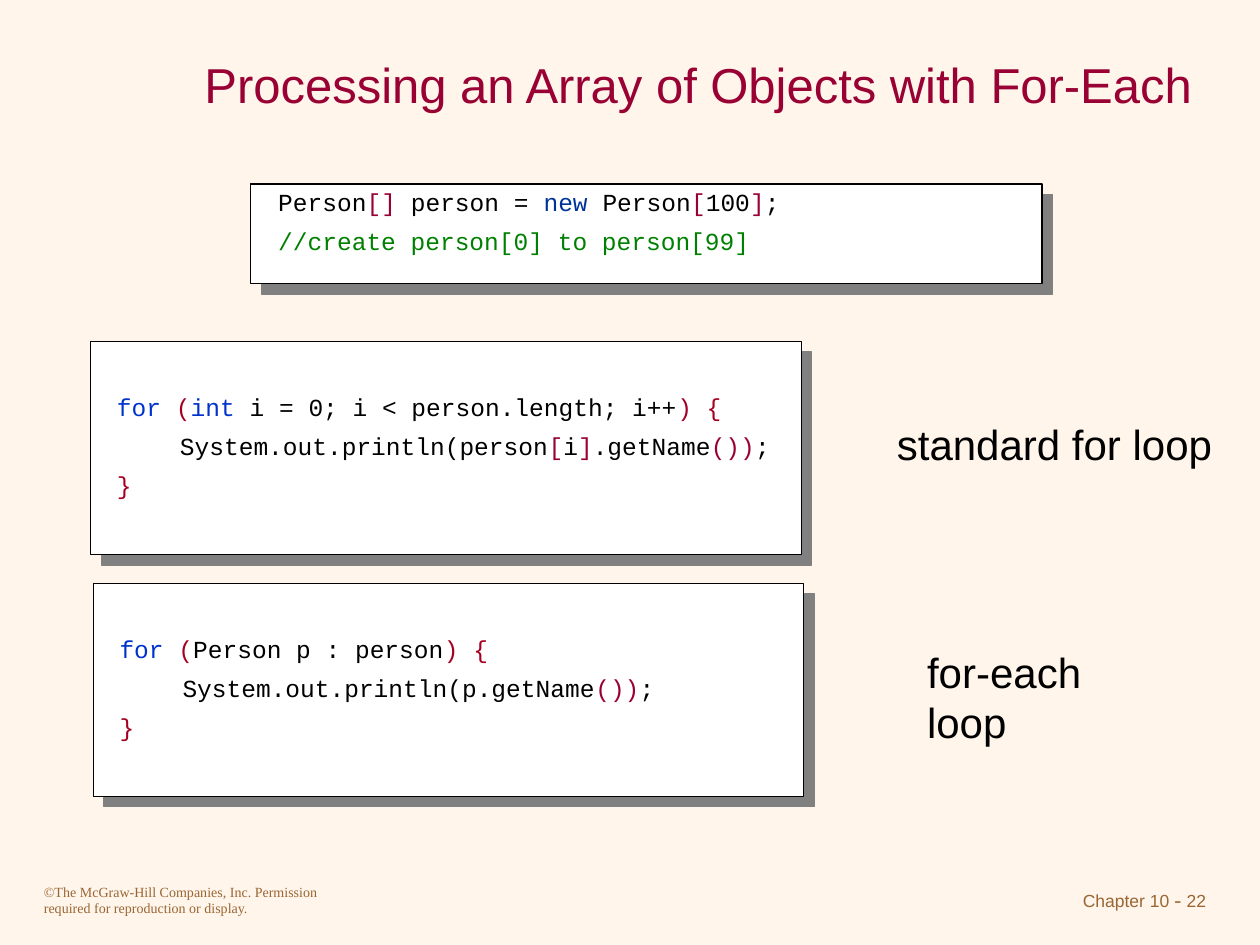
from lxml import etree
from pptx import Presentation
from pptx.dml.color import RGBColor
from pptx.enum.shapes import MSO_SHAPE
from pptx.enum.text import MSO_ANCHOR, PP_ALIGN
from pptx.oxml.ns import qn
from pptx.util import Inches, Pt

RECTANGLE = MSO_SHAPE.RECTANGLE
MIDDLE = MSO_ANCHOR.MIDDLE
LEFT, CENTER, RIGHT = PP_ALIGN.LEFT, PP_ALIGN.CENTER, PP_ALIGN.RIGHT

COLORS = {
    "background": "FFF5EB",
    "panel": "FFFFFF",
    "shadow": "808080",
    "title": "990033",
    "footer": "996633",
    "plain": "000000",
    "keyword": "0033CC",
    "new": "003399",
    "brace": "A50021",
    "bracket": "990033",
    "comment": "008000",
}

DECLARATION = [
    [("Person", "plain"), ("[]", "bracket"), (" person = ", "plain"),
     ("new", "new"), (" Person", "plain"), ("[", "bracket"),
     ("100", "plain"), ("]", "bracket"), (";", "plain")],
    [("//create person[0] to person[99]", "comment")],
]
STANDARD_LOOP = [
    [("for ", "keyword"), ("(", "brace"), ("int", "keyword"),
     (" i = 0; i < person.length; i++", "plain"), (") {", "brace")],
    [("\tSystem.out.println(person", "plain"), ("[", "bracket"),
     ("i", "plain"), ("]", "bracket"), (".getName", "plain"),
     ("())", "bracket"), (";", "plain")],
    [("}", "brace")],
]
FOR_EACH_LOOP = [
    [("for ", "keyword"), ("(", "brace"), ("Person p : person", "plain"),
     (") {", "brace")],
    [("\tSystem.out.println(p.getName", "plain"), ("())", "bracket"),
     (";", "plain")],
    [("}", "brace")],
]


def color(name):
    return RGBColor.from_string(COLORS[name])


def add_box(shapes, left, top, width, height, wrap=True):
    box = shapes.add_textbox(
        Inches(left), Inches(top), Inches(width), Inches(height))
    box.text_frame.word_wrap = wrap
    return box.text_frame


def set_font(font, name, size, color_name):
    font.name = name
    font.size = Pt(size)
    font.color.rgb = color(color_name)


def add_text(shapes, text, place, font_name, size, color_name,
             align=LEFT, wrap=True):
    frame = add_box(shapes, *place, wrap=wrap)
    paragraph = frame.paragraphs[0]
    paragraph.text = text
    paragraph.alignment = align
    set_font(paragraph.font, font_name, size, color_name)
    return frame


def add_panel(shapes, left, top, width, height):
    panel = shapes.add_shape(
        RECTANGLE, Inches(left), Inches(top), Inches(width), Inches(height))
    panel.fill.solid()
    panel.fill.fore_color.rgb = color("panel")
    panel.line.color.rgb = color("plain")
    panel.line.width = Pt(0.75)
    panel.shadow.inherit = False
    effects = panel.element.spPr.find(qn("a:effectLst"))
    shadow = etree.SubElement(
        effects, qn("a:outerShdw"), dist=str(Pt(8.5)), dir="2700000",
        algn="ctr", rotWithShape="0")
    etree.SubElement(shadow, qn("a:srgbClr"), val=COLORS["shadow"])


def add_code(shapes, lines, left, top, width, height):
    frame = add_box(shapes, left, top, width, height)
    for index, line in enumerate(lines):
        paragraph = frame.add_paragraph() if index else frame.paragraphs[0]
        paragraph.line_spacing = 0.8
        if index:
            paragraph.space_before = Pt(8.8)
        tabs = etree.SubElement(
            paragraph._p.get_or_add_pPr(), qn("a:tabLst"))
        etree.SubElement(tabs, qn("a:tab"), pos=str(Inches(0.5)), algn="l")
        paragraph.font.name = "Courier New"
        paragraph.font.size = Pt(14)
        for text, color_name in line:
            span = paragraph.add_run()
            span.text = text
            span.font.color.rgb = color(color_name)


def add_loop(page, lines, left, top, label, label_place):
    shapes = page.shapes.add_group_shape().shapes
    add_panel(shapes, left, top, 5.64, 1.69)
    add_code(shapes, lines, left + 0.11, top + 0.4, 5.42, 0.92)
    add_text(shapes, label, label_place, "Arial", 24, "plain", wrap=False)


def add_declaration(page):
    shapes = page.shapes.add_group_shape().shapes
    add_panel(shapes, 1.99, 1.46, 6.28, 0.79)
    add_code(shapes, DECLARATION, 2.11, 1.48, 6.05, 0.6)


def add_page_number(page):
    paragraph = add_box(page.shapes, 7.5, 6.99, 2.17, 0.34).paragraphs[0]
    paragraph.alignment = RIGHT
    for text, name, size in (("Chapter 10", "Arial", 10),
                             (" - ", "Times New Roman", 12),
                             ("22", "Arial", 10)):
        span = paragraph.add_run()
        span.text = text
        set_font(span.font, name, size, "footer")


def main():
    deck = Presentation()
    deck.slide_width, deck.slide_height = Inches(10), Inches(7.5)
    page = deck.slides.add_slide(deck.slide_layouts[6])
    page.background.fill.solid()
    page.background.fill.fore_color.rgb = color("background")

    add_text(page.shapes,
             "©The McGraw-Hill Companies, Inc. Permission required for "
             "reproduction or display.",
             (0.25, 6.96, 2.5, 0.37), "Times New Roman", 8, "footer")
    add_page_number(page)
    title = add_text(page.shapes,
                     "Processing an Array of Objects with For-Each",
                     (1.5, 0.25, 8.08, 0.83), "Arial", 28, "title", CENTER)
    title.vertical_anchor = MIDDLE
    add_loop(page, STANDARD_LOOP, 0.72, 2.71,
             "standard for loop", (7.02, 3.27, 2.7, 0.5))
    add_loop(page, FOR_EACH_LOOP, 0.74, 4.63,
             "for-each loop", (7.26, 5.08, 2.14, 0.5))
    add_declaration(page)
    deck.save("out.pptx")


if __name__ == "__main__":
    main()
